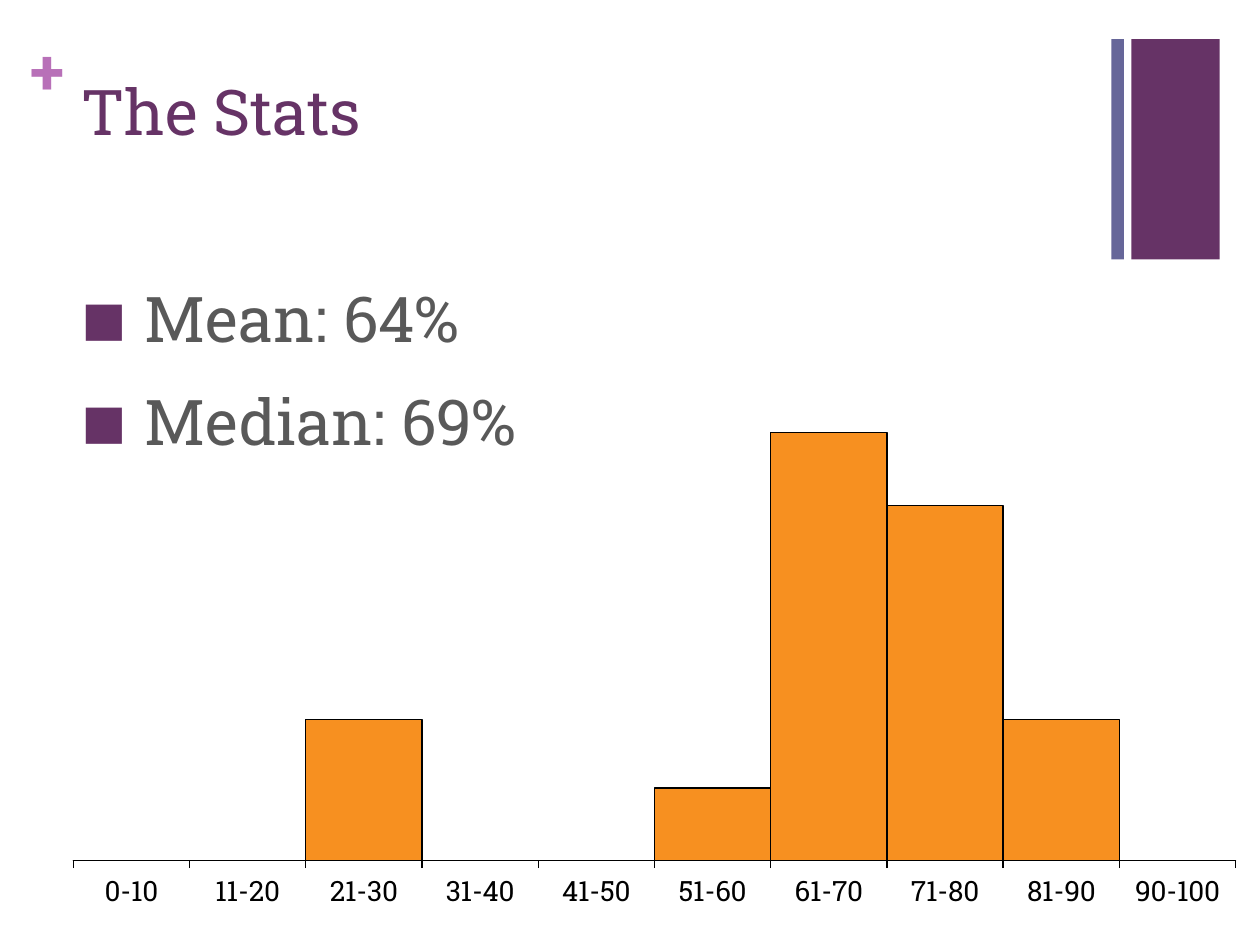
import pptx
import pptx.chart.data
import pptx.dml.color
import pptx.enum.chart
import pptx.enum.shapes
import pptx.util
from lxml import etree
from pptx.oxml.ns import qn

Inches, Pt = pptx.util.Inches, pptx.util.Pt
FONT = "Roboto Slab"
COLORS = {"plum": "663366", "slate": "666699", "orchid": "B870B8",
          "body": "595959", "bar": "F79020", "black": "000000"}
BINS = ["0-10", "11-20", "21-30", "31-40", "41-50",
        "51-60", "61-70", "71-80", "81-90", "90-100"]
SHARES = [0, 0, 33, 0, 0, 17, 100, 83, 33, 0]


def rgb(name):
    return pptx.dml.color.RGBColor.from_string(COLORS[name])


def style_font(font, size, color, bold=False):
    font.name = FONT
    font.size = Pt(size)
    font.bold = bold
    font.color.rgb = rgb(color)


def add_text_frame(s, x, y, w, h):
    tf = s.shapes.add_textbox(Inches(x), Inches(y), Inches(w), Inches(h)).text_frame
    tf.word_wrap = True
    return tf


def add_run(p, text, size, color, bold=False):
    r = p.add_run()
    r.text = text
    style_font(r.font, size, color, bold)


def add_corner_bars(s, x, y, w, h):
    """Narrow slate bar on the left, wide plum bar on the right."""
    for left, width, color in ((x, 0.1, "slate"), (x + w - 0.7, 0.7, "plum")):
        sp = s.shapes.add_shape(pptx.enum.shapes.MSO_SHAPE.RECTANGLE, Inches(left),
                                Inches(y), Inches(width), Inches(h))
        sp.shadow.inherit = False
        sp.fill.solid()
        sp.fill.fore_color.rgb = rgb(color)
        sp.line.fill.background()


def add_plus(s, x, y, w, h):
    tf = add_text_frame(s, x, y, w, h)
    tf.margin_left = tf.margin_right = tf.margin_top = tf.margin_bottom = 0
    add_run(tf.paragraphs[0], "+", 36, "orchid", bold=True)


def add_title(s, x, y, w, h):
    tf = add_text_frame(s, x, y, w, h)
    add_run(tf.paragraphs[0], "The Stats", 36, "plum")


def add_square_bullet(p, indent):
    pPr = p._p.get_or_add_pPr()
    pPr.set("marL", str(Inches(indent)))
    pPr.set("indent", str(-Inches(indent)))
    clr = etree.SubElement(pPr, qn("a:buClr"))
    etree.SubElement(clr, qn("a:srgbClr"), val=COLORS["plum"])
    etree.SubElement(pPr, qn("a:buSzPct"), val="75000")
    etree.SubElement(pPr, qn("a:buFont"), typeface=FONT)
    etree.SubElement(pPr, qn("a:buChar"), char="■")


def add_averages(s, x, y, w, h):
    tf = add_text_frame(s, x, y, w, h)
    for i, text in enumerate(("Mean: 64%", "Median: 69%")):
        p = tf.add_paragraph() if i else tf.paragraphs[0]
        add_square_bullet(p, 0.5)
        if i:
            p.space_before = Pt(15.5)
        add_run(p, text, 36, "body")


def set_plot_area(chart, x, y, w, h):
    """Fix the inner plot area, in fractions of the chart."""
    area = chart._chartSpace.chart.plotArea
    for old in area.findall(qn("c:layout")):
        area.remove(old)
    layout = etree.Element(qn("c:layout"))
    area.insert(0, layout)
    manual = etree.SubElement(layout, qn("c:manualLayout"))
    for tag, val in (("layoutTarget", "inner"), ("xMode", "edge"), ("yMode", "edge"),
                     ("x", x), ("y", y), ("w", w), ("h", h)):
        etree.SubElement(manual, qn("c:" + tag), val=str(val))


def add_histogram(s, x, y, w, h):
    data = pptx.chart.data.CategoryChartData()
    data.categories = BINS
    data.add_series("Series 1", SHARES)
    chart = s.shapes.add_chart(pptx.enum.chart.XL_CHART_TYPE.COLUMN_CLUSTERED, Inches(x),
                               Inches(y), Inches(w), Inches(h), data).chart
    chart.has_legend = False
    chart.has_title = False
    style_font(chart.font, 10, "black")
    set_plot_area(chart, 0.02, 0.14, 0.96, 0.75)

    plot = chart.plots[0]
    plot.gap_width = 0
    plot.vary_by_categories = False
    bars = plot.series[0].format
    bars.fill.solid()
    bars.fill.fore_color.rgb = rgb("bar")

    axis = chart.category_axis
    axis.major_tick_mark = pptx.enum.chart.XL_TICK_MARK.OUTSIDE
    style_font(axis.tick_labels.font, 16, "black")
    for line in (bars.line, axis.format.line):
        line.color.rgb = rgb("black")
        line.width = Pt(0.75)

    values = chart.value_axis
    values.visible = False
    values.has_major_gridlines = False
    values.minimum_scale = 0
    values.maximum_scale = 100


def build_stats_slide(prs):
    s = prs.slides.add_slide(prs.slide_layouts[6])
    add_corner_bars(s, 8.82, 0.31, 0.86, 1.75)
    add_plus(s, 0.24, 0.25, 0.29, 0.61)
    add_title(s, 0.55, 0.53, 8.26, 1.22)
    add_averages(s, 0.55, 2.17, 8.26, 4.53)
    add_histogram(s, 0.39, 2.8, 9.61, 4.53)


def main():
    prs = pptx.Presentation()
    prs.slide_width, prs.slide_height = Inches(10), Inches(7.5)
    build_stats_slide(prs)
    prs.save("out.pptx")


if __name__ == "__main__":
    main()
